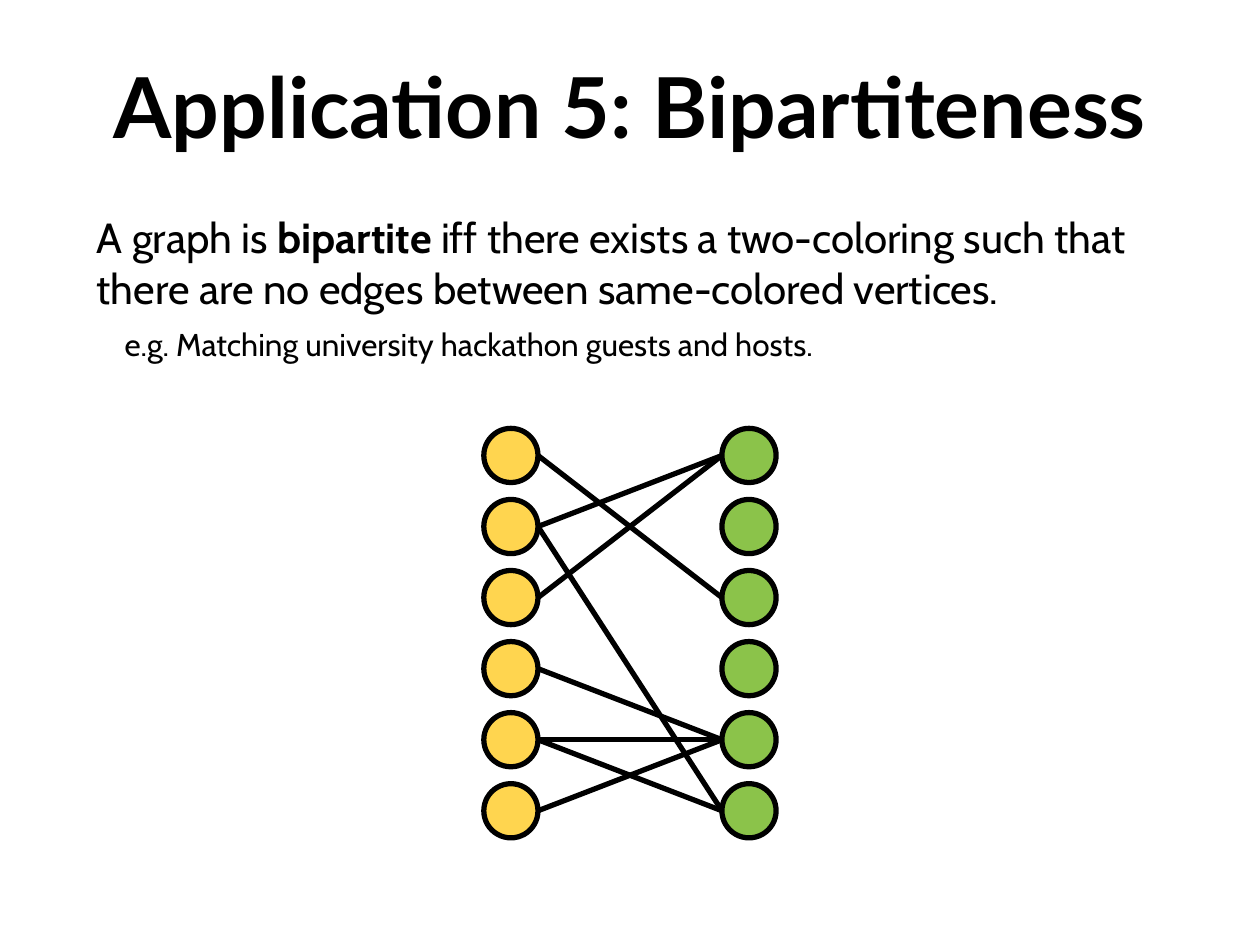
"""Build a slide that explains bipartite graphs."""
from dataclasses import dataclass

from lxml import etree
from pptx import Presentation
from pptx.dml.color import RGBColor
from pptx.enum.shapes import MSO_CONNECTOR, MSO_SHAPE
from pptx.enum.text import MSO_ANCHOR, PP_ALIGN
from pptx.oxml.ns import qn
from pptx.util import Inches, Pt

OVAL = MSO_SHAPE.OVAL
LINE = MSO_CONNECTOR.STRAIGHT
TOP = MSO_ANCHOR.TOP
LEFT = PP_ALIGN.LEFT
CENTER = PP_ALIGN.CENTER


@dataclass(frozen=True)
class Theme:
    """Hold the colours, fonts and sizes."""
    ink: RGBColor = RGBColor(0x00, 0x00, 0x00)
    paper: RGBColor = RGBColor(0xFF, 0xFF, 0xFF)
    guest: RGBColor = RGBColor(0xFF, 0xD5, 0x4F)
    host: RGBColor = RGBColor(0x8B, 0xC3, 0x4A)
    head: str = "Lato"
    body: str = "Cabin"
    title: Pt = Pt(48)
    text: Pt = Pt(24)
    note: Pt = Pt(18)
    stroke: Pt = Pt(3)


THEME = Theme()
COUNT = 6
SIZE = 0.43
FIRST = 3.4
STEP = 2.82 / (COUNT - 1)
GUEST_X = 3.84
HOST_X = 5.73
EDGES = [(0, 2), (1, 0), (1, 5), (2, 0), (3, 4), (4, 5), (4, 4), (5, 4)]


def add_box(slide, left, top, width, height):
    """Add a wrapping text box and return its frame."""
    box = slide.shapes.add_textbox(
        Inches(left), Inches(top), Inches(width), Inches(height))
    frame = box.text_frame
    frame.word_wrap = True
    frame.vertical_anchor = TOP
    frame.margin_left = frame.margin_right = Inches(0.1)
    frame.margin_top = frame.margin_bottom = Inches(0.1)
    return frame


def add_run(para, text, face, size, bold=False):
    """Add one styled run to a paragraph."""
    run = para.add_run()
    run.text = text
    run.font.name = face
    run.font.size = size
    run.font.bold = bold
    run.font.color.rgb = THEME.ink


def add_title(slide):
    """Add the centred title."""
    para = add_box(slide, 0, 0.33, 10, 1.25).paragraphs[0]
    para.alignment = CENTER
    add_run(para, "Application 5: Bipartiteness", THEME.head, THEME.title, True)


def add_body(slide):
    """Add the definition and its indented example."""
    frame = add_box(slide, 0.67, 1.58, 8.67, 5.92)
    para = frame.paragraphs[0]
    para.alignment = LEFT
    add_run(para, "A graph is ", THEME.body, THEME.text)
    add_run(para, "bipartite", THEME.body, THEME.text, True)
    add_run(para, " iff there exists a two-coloring such that there are no "
            "edges between same-colored vertices.", THEME.body, THEME.text)
    note = frame.add_paragraph()
    note.alignment = LEFT
    note.space_before = Pt(7)
    note._p.get_or_add_pPr().set("marL", str(Inches(0.22)))
    add_run(note, "e.g. Matching university hackathon guests and hosts.",
            THEME.body, THEME.note)


def add_node(slide, left, row, fill):
    """Add one vertex in the given row."""
    node = slide.shapes.add_shape(
        OVAL, Inches(left), Inches(FIRST + row * STEP),
        Inches(SIZE), Inches(SIZE))
    node.shadow.inherit = False
    node.fill.solid()
    node.fill.fore_color.rgb = fill
    node.line.color.rgb = THEME.ink
    node.line.width = THEME.stroke


def add_edge(slide, start, end):
    """Join a guest row to a host row."""
    mid = FIRST + SIZE / 2
    edge = slide.shapes.add_connector(
        LINE, Inches(GUEST_X + SIZE), Inches(mid + start * STEP),
        Inches(HOST_X), Inches(mid + end * STEP))
    edge.line.color.rgb = THEME.ink
    edge.line.width = THEME.stroke
    etree.SubElement(edge._element.spPr, qn("a:effectLst"))


def main():
    """Build and save the slide."""
    deck = Presentation()
    deck.slide_width = Inches(10)
    deck.slide_height = Inches(7.5)
    slide = deck.slides.add_slide(deck.slide_layouts[6])
    slide.background.fill.solid()
    slide.background.fill.fore_color.rgb = THEME.paper
    add_title(slide)
    add_body(slide)
    for left, fill in ((GUEST_X, THEME.guest), (HOST_X, THEME.host)):
        for row in range(COUNT):
            add_node(slide, left, row, fill)
    for start, end in EDGES:
        add_edge(slide, start, end)
    deck.save("out.pptx")


if __name__ == "__main__":
    main()
